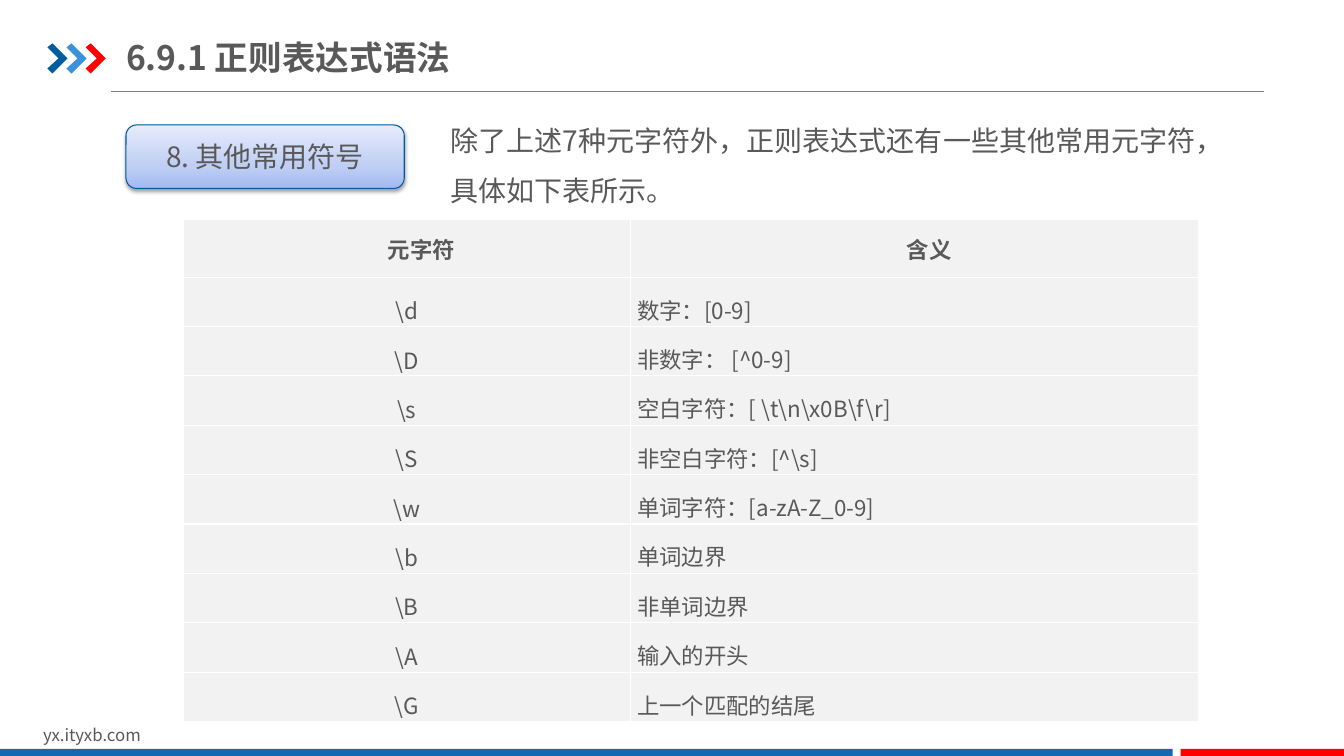
from dataclasses import dataclass

from lxml import etree
from pptx import Presentation
from pptx import util as u
from pptx.dml.color import RGBColor
from pptx.enum import shapes, text
from pptx.oxml import parse_xml
from pptx.oxml.ns import nsdecls, qn

PX = 9144
LEFT, CENTER = text.PP_ALIGN.LEFT, text.PP_ALIGN.CENTER
TOP, MIDDLE = text.MSO_ANCHOR.TOP, text.MSO_ANCHOR.MIDDLE


@dataclass(frozen=True)
class Theme:
    font: str = "Noto Sans CJK SC"
    ink: str = "595959"
    rule: str = "808080"
    blue: str = "1369B2"
    red: str = "FF0000"
    white: str = "FFFFFF"
    cell: str = "F2F2F2"
    badge_line: str = "005B9E"
    badge_stops: tuple = ((0, "A2BAF2"), (35, "BFCEF4"), (100, "E6ECFC"))
    chevrons: tuple = ("005DA2", "3992DB", "FF0000")
    title_pt: int = 24
    body_pt: int = 20
    table_pt: int = 16
    footer_pt: int = 12


T = Theme()

ROWS = [
    ("元字符", "含义"),
    (r"\d", "数字：[0-9]"),
    (r"\D", "非数字： [^0-9]"),
    (r"\s", r"空白字符：[ \t\n\x0B\f\r]"),
    (r"\S", r"非空白字符：[^\s]"),
    (r"\w", "单词字符：[a-zA-Z_0-9]"),
    (r"\b", "单词边界"),
    (r"\B", "非单词边界"),
    (r"\A", "输入的开头"),
    (r"\G", "上一个匹配的结尾"),
]


def px(*values):
    return [u.Emu(v * PX) for v in values]


def rgb(value):
    return RGBColor.from_string(value)


def write(tf, content, size=T.body_pt, bold=False, align=LEFT, spacing=None, indent=0):
    p = tf.paragraphs[0]
    p.alignment = align
    if spacing:
        p.line_spacing = spacing
    if indent:
        p._p.get_or_add_pPr().set("indent", str(indent * PX))
    r = p.add_run()
    r.text = content
    r.font.size = u.Pt(size)
    r.font.bold = bold
    r.font.color.rgb = rgb(T.ink)
    r.font.name = T.font
    etree.SubElement(r._r.get_or_add_rPr(), qn("a:ea")).set("typeface", T.font)


def add_title(slide, content, box):
    sp = slide.shapes.title
    sp.left, sp.top, sp.width, sp.height = px(*box)
    tf = sp.text_frame
    tf.auto_size = text.MSO_AUTO_SIZE.NONE
    tf.word_wrap = True
    tf.vertical_anchor = MIDDLE
    tf.margin_left = tf.margin_right = 0
    tf.margin_top, tf.margin_bottom = px(7, 7)
    write(tf, content, size=T.title_pt, bold=True)


def add_text(slide, content, box, **fmt):
    tf = slide.shapes.add_textbox(*px(*box)).text_frame
    tf.word_wrap = True
    write(tf, content, **fmt)


def add_rule(slide, x1, x2, y):
    line = slide.shapes.add_connector(shapes.MSO_CONNECTOR.STRAIGHT, *px(x1, y, x2, y))
    line.line.color.rgb = rgb(T.rule)
    line.line.width = u.Pt(0.75)
    etree.SubElement(line._element.spPr, qn("a:effectLst"))


def paint(sp, color):
    sp.shadow.inherit = False
    sp.fill.solid()
    sp.fill.fore_color.rgb = rgb(color)
    sp.line.fill.background()


def add_bar(slide, box, color):
    paint(slide.shapes.add_shape(shapes.MSO_SHAPE.RECTANGLE, *px(*box)), color)


def add_chevron(slide, x, y, color):
    fb = slide.shapes.build_freeform(x, y + 4, scale=PX)
    corners = [(5, 0), (20, 15), (5, 30), (0, 25), (11, 15)]
    fb.add_line_segments([(x + dx, y + dy) for dx, dy in corners], close=True)
    paint(fb.convert_to_shape(), color)


def add_badge(slide, content, box):
    sp = slide.shapes.add_shape(shapes.MSO_SHAPE.ROUNDED_RECTANGLE, *px(*box))
    sp.line.color.rgb = rgb(T.badge_line)
    sp.line.width = u.Pt(0.75)
    sp.shadow.inherit = False
    spPr = sp._element.spPr
    stops = "".join(
        f'<a:gs pos="{pos * 1000}"><a:srgbClr val="{color}"/></a:gs>'
        for pos, color in T.badge_stops
    )
    spPr.find(qn("a:prstGeom")).addnext(parse_xml(
        f'<a:gradFill {nsdecls("a")} rotWithShape="1"><a:gsLst>{stops}</a:gsLst>'
        '<a:lin ang="16200000" scaled="0"/></a:gradFill>'
    ))
    spPr.find(qn("a:effectLst")).append(parse_xml(
        f'<a:outerShdw {nsdecls("a")} blurRad="{u.Pt(3.1)}" dist="{u.Pt(1.6)}" '
        'dir="5400000" rotWithShape="0"><a:srgbClr val="000000">'
        '<a:alpha val="38000"/></a:srgbClr></a:outerShdw>'
    ))
    sp.text_frame.vertical_anchor = MIDDLE
    write(sp.text_frame, content, align=CENTER)


def style_cell(cell, anchor):
    cell.margin_left, cell.margin_right = px(7, 7)
    cell.margin_top = cell.margin_bottom = 0
    cell.vertical_anchor = anchor
    tcPr = cell._tc.get_or_add_tcPr()
    for side in ("lnL", "lnR", "lnT", "lnB"):
        tcPr.append(parse_xml(
            f'<a:{side} {nsdecls("a")} w="{u.Pt(1)}"><a:solidFill>'
            f'<a:srgbClr val="{T.white}"/></a:solidFill></a:{side}>'
        ))
    cell.fill.solid()
    cell.fill.fore_color.rgb = rgb(T.cell)


def add_symbol_table(slide, rows, x, y, widths, head_height, row_height):
    heights = [head_height] + [row_height] * (len(rows) - 1)
    box = px(x, y, sum(widths), sum(heights))
    table = slide.shapes.add_table(len(rows), len(widths), *box).table
    table.first_row = table.horz_banding = False
    for column, width in zip(table.columns, px(*widths)):
        column.width = width
    for row, height in zip(table.rows, px(*heights)):
        row.height = height
    for i, row in enumerate(rows):
        for j, content in enumerate(row):
            cell = table.cell(i, j)
            centered = i == 0 or j == 0
            style_cell(cell, MIDDLE if centered else TOP)
            fmt = {"bold": True, "indent": 29} if i == 0 else {"spacing": 1.5}
            write(cell.text_frame, content, size=T.table_pt,
                  align=CENTER if centered else LEFT, **fmt)


def main():
    prs = Presentation()
    prs.slide_width, prs.slide_height = px(1333, 750)
    slide = prs.slides.add_slide(prs.slide_layouts[5])

    add_rule(slide, 110, 1254, 91)
    for i, color in enumerate(T.chevrons):
        add_chevron(slide, 47 + 19 * i, 43, color)
    add_text(slide, "yx.ityxb.com", (33, 714, 318, 30), size=T.footer_pt)
    add_bar(slide, (0, 743, 1163, 9), T.blue)
    add_bar(slide, (1171, 743, 162, 9), T.red)

    add_title(slide, "6.9.1 正则表达式语法", (125, 29, 426, 55))
    add_text(slide, "除了上述7种元字符外，正则表达式还有一些其他常用元字符，具体如下表所示。",
             (437, 101, 789, 111), spacing=1.5)
    add_badge(slide, "8. 其他常用符号", (125, 124, 276, 63))
    add_symbol_table(slide, ROWS, 182, 218, (443, 564), 57, 49)

    prs.save("out.pptx")


if __name__ == "__main__":
    main()
